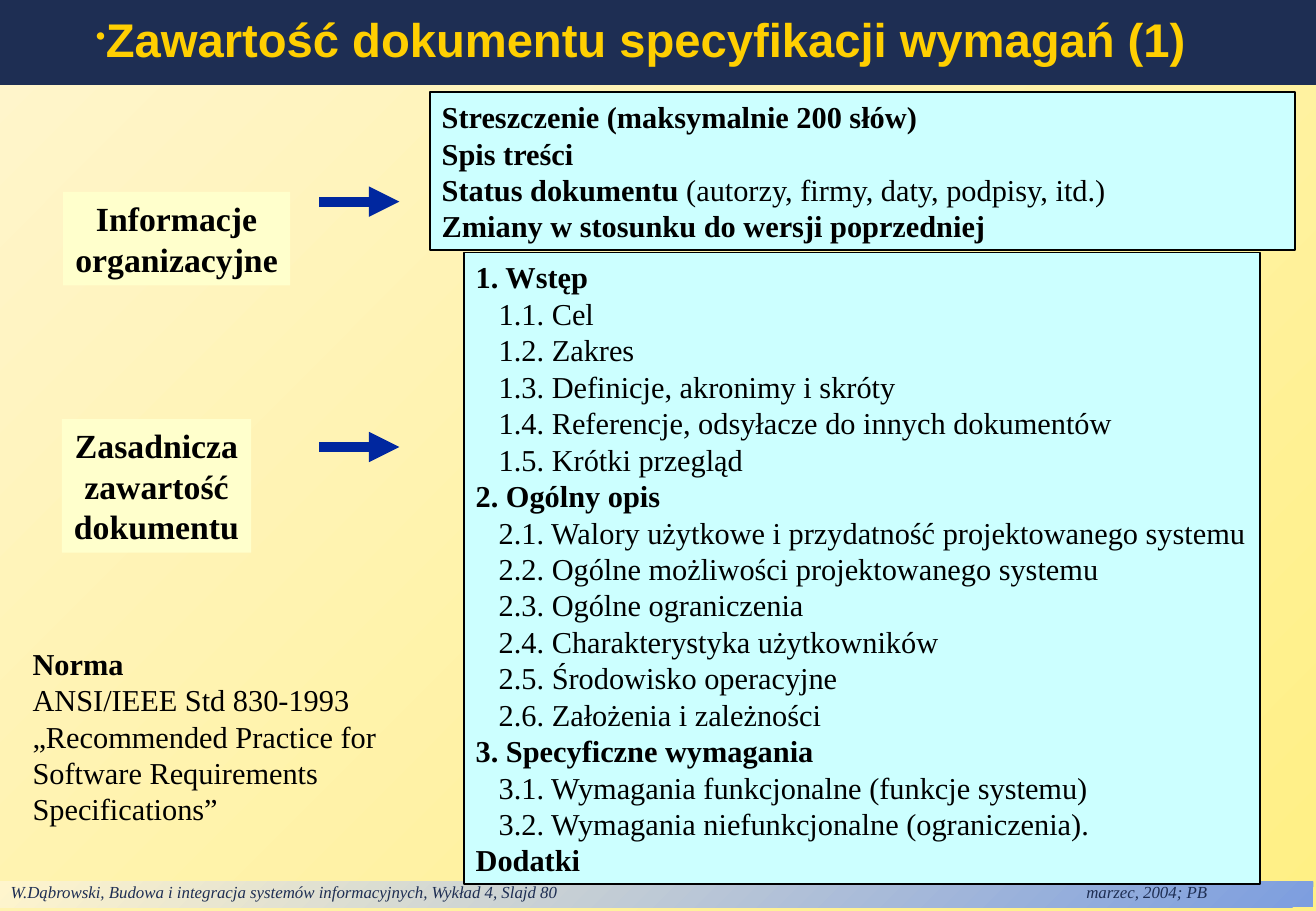
from dataclasses import dataclass
from typing import Optional

import lxml.etree
import pptx
import pptx.dml.color
import pptx.dml.fill
import pptx.enum.shapes
import pptx.enum.text
import pptx.oxml.ns
import pptx.shapes.autoshape
import pptx.slide
import pptx.text.text
import pptx.util

RGBColor = pptx.dml.color.RGBColor
Align = pptx.enum.text.PP_ALIGN

PX = 9144
NAVY = RGBColor(0x1E, 0x2E, 0x53)
GOLD = RGBColor(0xFF, 0xCF, 0x01)
BLACK = RGBColor(0x00, 0x00, 0x00)
AQUA = RGBColor(0xCC, 0xFF, 0xFF)
CREAM = RGBColor(0xFF, 0xFF, 0xCC)
ARROW_BLUE = RGBColor(0x00, 0x27, 0x9F)
PALE_YELLOW = RGBColor(0xFF, 0xF5, 0xCD)
YELLOW = RGBColor(0xFF, 0xF0, 0x85)
SKY = RGBColor(0x7D, 0x9E, 0xDF)
SERIF = "Times New Roman"
SUBITEM_INDENT = 19


@dataclass(frozen=True)
class Line:
    bold: str = ""
    plain: str = ""
    indent: int = 0


@dataclass(frozen=True)
class Panel:
    left: int
    top: int
    width: int
    height: int
    lines: list[Line]
    size: int = 18
    fill: Optional[RGBColor] = None
    outlined: bool = False
    wrap: bool = True
    align: Align = Align.LEFT


@dataclass(frozen=True)
class Arrow:
    left: int
    right: int
    y: int


def subitems(chapter: int, titles: list[str]) -> list[Line]:
    return [
        Line(plain=f"{chapter}.{number}. {title}", indent=SUBITEM_INDENT)
        for number, title in enumerate(titles, 1)
    ]


OUTLINE = [
    Line("1. Wstęp"),
    *subitems(1, [
        "Cel",
        "Zakres",
        "Definicje, akronimy i skróty",
        "Referencje, odsyłacze do innych dokumentów",
        "Krótki przegląd",
    ]),
    Line("2. Ogólny opis"),
    *subitems(2, [
        "Walory użytkowe i przydatność projektowanego systemu",
        "Ogólne możliwości projektowanego systemu",
        "Ogólne ograniczenia",
        "Charakterystyka użytkowników",
        "Środowisko operacyjne",
        "Założenia i zależności",
    ]),
    Line("3. Specyficzne wymagania"),
    *subitems(3, [
        "Wymagania funkcjonalne (funkcje systemu)",
        "Wymagania niefunkcjonalne (ograniczenia).",
    ]),
    Line("Dodatki"),
]

FRONT_MATTER = [
    Line("Streszczenie (maksymalnie 200 słów)"),
    Line("Spis treści"),
    Line("Status dokumentu ", "(autorzy, firmy, daty, podpisy, itd.)"),
    Line("Zmiany w stosunku do wersji poprzedniej"),
]

STANDARD = [
    Line("Norma"),
    Line(plain="ANSI/IEEE Std 830-1993"),
    Line(plain="„Recommended Practice for Software Requirements Specifications”"),
]

PANELS = [
    Panel(354, 76, 713, 130, FRONT_MATTER, fill=AQUA, outlined=True),
    Panel(52, 158, 187, 77, [Line("Informacje"), Line("organizacyjne")],
          size=20, fill=CREAM, wrap=False, align=Align.CENTER),
    Panel(382, 208, 656, 520, OUTLINE, fill=AQUA, outlined=True, wrap=False),
    Panel(51, 345, 156, 110,
          [Line("Zasadnicza"), Line("zawartość"), Line("dokumentu")],
          size=20, fill=CREAM, wrap=False, align=Align.CENTER),
    Panel(17, 526, 326, 160, STANDARD),
]

ARROWS = [Arrow(263, 329, y) for y in (166, 368)]


def px(*lengths: int) -> list[pptx.util.Emu]:
    return [pptx.util.Emu(length * PX) for length in lengths]


def add_xml(parent: lxml.etree._Element, tag: str, **attributes: str) -> lxml.etree._Element:
    return lxml.etree.SubElement(parent, pptx.oxml.ns.qn(tag), attributes)


def set_font(font: pptx.text.text.Font, name: str, size: int, color: RGBColor) -> None:
    font.name = name
    font.size = pptx.util.Pt(size)
    font.color.rgb = color


def set_gradient(fill: pptx.dml.fill.FillFormat, start: RGBColor, end: RGBColor) -> None:
    fill.gradient()
    fill.gradient_angle = 135
    for stop, color in zip(fill.gradient_stops, (start, end)):
        stop.color.rgb = color


def add_rectangle(slide: pptx.slide.Slide, *box: int) -> pptx.shapes.autoshape.Shape:
    rectangle = slide.shapes.add_shape(pptx.enum.shapes.MSO_SHAPE.RECTANGLE, *px(*box))
    rectangle.shadow.inherit = False
    rectangle.line.fill.background()
    return rectangle


def add_footer(slide: pptx.slide.Slide) -> None:
    footer = add_rectangle(slide, -1, 726, 1083, 21)
    set_gradient(footer.fill, SKY, PALE_YELLOW)
    frame = footer.text_frame
    frame.margin_top, frame.margin_bottom = px(0, 4)
    frame.vertical_anchor = pptx.enum.text.MSO_ANCHOR.TOP
    credit = frame.paragraphs[0]
    credit.text = (
        "W.Dąbrowski, Budowa i integracja systemów informacyjnych, Wykład 4, Slajd 80"
        "\tmarzec, 2004; PB"
    )
    credit.alignment = Align.LEFT
    tabs = add_xml(credit._p.get_or_add_pPr(), "a:tabLst")
    add_xml(tabs, "a:tab", pos=str(886 * PX), algn="l")
    set_font(credit.font, SERIF, 10, NAVY)
    credit.font.italic = True


def format_title(slide: pptx.slide.Slide) -> None:
    title = slide.shapes.title
    title.left, title.top, title.width, title.height = px(0, 0, 1084, 70)
    title.fill.solid()
    title.fill.fore_color.rgb = NAVY
    frame = title.text_frame
    frame.auto_size = pptx.enum.text.MSO_AUTO_SIZE.NONE
    frame.vertical_anchor = pptx.enum.text.MSO_ANCHOR.MIDDLE
    heading = frame.paragraphs[0]
    heading.text = "Zawartość dokumentu specyfikacji wymagań (1)"
    heading.alignment = Align.LEFT
    heading.line_spacing = 0.9
    properties = heading._p.get_or_add_pPr()
    properties.set("marL", str(29 * PX))
    properties.set("indent", str(40 * PX))
    add_xml(add_xml(properties, "a:buClr"), "a:srgbClr", val=str(GOLD))
    add_xml(properties, "a:buSzPct", val="60000")
    add_xml(properties, "a:buChar", char="•")
    set_font(heading.font, "Arial", 28, GOLD)
    heading.font.bold = True


def add_panel(slide: pptx.slide.Slide, panel: Panel) -> None:
    box = (panel.left, panel.top, panel.width, panel.height)
    if panel.fill is None:
        shape = slide.shapes.add_textbox(*px(*box))
    else:
        shape = add_rectangle(slide, *box)
        shape.fill.solid()
        shape.fill.fore_color.rgb = panel.fill
    if panel.outlined:
        shape.line.color.rgb = BLACK
        shape.line.width = pptx.util.Pt(1)
    frame = shape.text_frame
    frame.word_wrap = panel.wrap
    frame.auto_size = pptx.enum.text.MSO_AUTO_SIZE.SHAPE_TO_FIT_TEXT
    frame.vertical_anchor = pptx.enum.text.MSO_ANCHOR.TOP
    for index, line in enumerate(panel.lines):
        paragraph = frame.add_paragraph() if index else frame.paragraphs[0]
        paragraph.alignment = panel.align
        if line.indent:
            paragraph._p.get_or_add_pPr().set("marL", str(line.indent * PX))
        set_font(paragraph.font, SERIF, panel.size, BLACK)
        if line.bold and line.plain:
            lead = paragraph.add_run()
            lead.text = line.bold
            lead.font.bold = True
            paragraph.add_run().text = line.plain
        else:
            paragraph.add_run().text = line.bold or line.plain
            paragraph.font.bold = bool(line.bold)


def add_arrow(slide: pptx.slide.Slide, arrow: Arrow) -> None:
    connector = slide.shapes.add_connector(
        pptx.enum.shapes.MSO_CONNECTOR.STRAIGHT,
        *px(arrow.left, arrow.y, arrow.right, arrow.y),
    )
    connector.line.color.rgb = ARROW_BLUE
    connector.line.width = pptx.util.Pt(6)
    add_xml(connector.line._get_or_add_ln(), "a:tailEnd", type="triangle")
    add_xml(connector._element.spPr, "a:effectLst")


def main() -> None:
    presentation = pptx.Presentation()
    presentation.slide_width, presentation.slide_height = px(1084, 750)
    slide = presentation.slides.add_slide(presentation.slide_layouts[5])
    set_gradient(slide.background.fill, YELLOW, PALE_YELLOW)
    add_footer(slide)
    format_title(slide)
    for panel in PANELS:
        add_panel(slide, panel)
    for arrow in ARROWS:
        add_arrow(slide, arrow)
    presentation.save("out.pptx")


if __name__ == "__main__":
    main()
